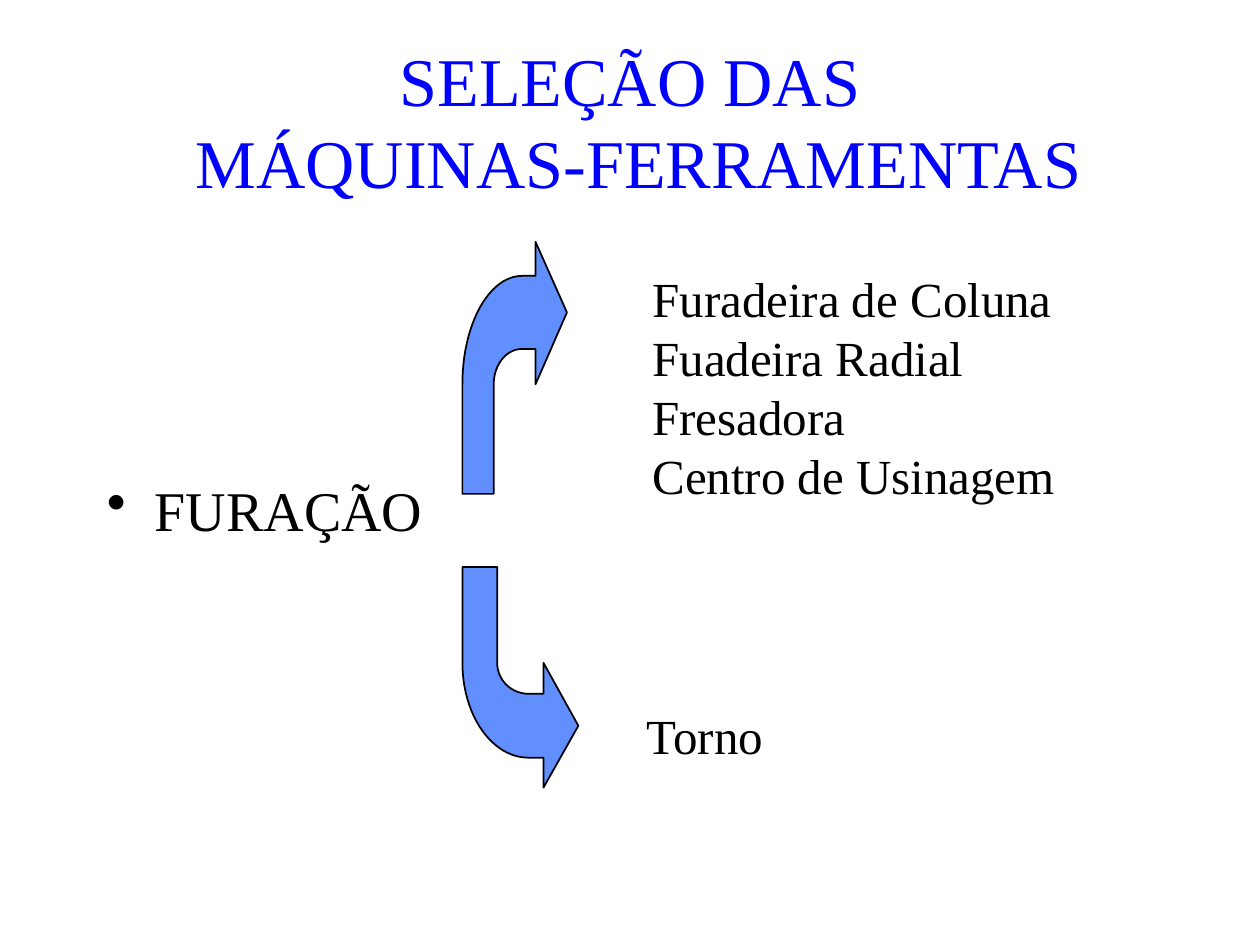
import math
import pptx
import pptx.util
import pptx.dml.color
import pptx.enum.text
from lxml import etree

Inches, Pt = pptx.util.Inches, pptx.util.Pt
RGB = pptx.dml.color.RGBColor.from_string
ALIGN, ANCHOR = pptx.enum.text.PP_ALIGN, pptx.enum.text.MSO_ANCHOR

THEME = {
    "title": {"size": Pt(39), "color": "0000FF"},
    "topic": {"size": Pt(32), "color": "000000"},
    "machine": {"size": Pt(28), "color": "000000"},
    "font": "Times New Roman",
    "arrow_fill": "618FFD",
    "arrow_line": "000000",
}
W, H = 10, 7.5

TEXTS = [
    {"lines": ["SELEÇÃO DAS\v MÁQUINAS-FERRAMENTAS"], "style": "title",
     "box": (0.075, 0.044, 0.85, 0.167), "align": ALIGN.CENTER, "anchor": ANCHOR.MIDDLE},
    {"lines": ["FURAÇÃO"], "style": "topic", "bullet": "•",
     "box": (0.075, 0.497, 0.29, 0.08), "align": ALIGN.LEFT, "anchor": ANCHOR.TOP},
    {"lines": ["Furadeira de Coluna", "Fuadeira Radial", "Fresadora", "Centro de Usinagem"],
     "style": "machine", "box": (0.508, 0.278, 0.367, 0.262),
     "align": ALIGN.LEFT, "anchor": ANCHOR.MIDDLE},
    {"lines": ["Torno"], "style": "machine", "box": (0.502, 0.74, 0.115, 0.076),
     "align": ALIGN.CENTER, "anchor": ANCHOR.MIDDLE},
]
ARROWS = [
    {"left": 3.67, "tail": 4.5, "width": 0.92, "rise": 1.75},
    {"left": 3.67, "tail": 3.92, "width": 0.83, "rise": -2},
]
SHAFT, BEND, HEAD = 0.3, 0.57, 0.7
BACK, INNER, TIP, OUTER = 0.435, 0.575, 0.72, 0.865
STEPS = 24


def add_text(s, lines, style, box, align, anchor, bullet=None):
    x, y, w, h = box
    sp = s.shapes.add_textbox(Inches(x * W), Inches(y * H), Inches(w * W), Inches(h * H))
    tf = sp.text_frame
    for name, value in {"word_wrap": True, "vertical_anchor": anchor}.items():
        setattr(tf, name, value)
    tf.text = "\n".join(lines)
    for p in tf.paragraphs:
        p.alignment = align
        if bullet:
            pPr = p._p.get_or_add_pPr()
            pPr.set("marL", str(Inches(0.38)))
            pPr.set("indent", str(-Inches(0.38)))
            bu = etree.SubElement(pPr, pptx.oxml.ns.qn("a:buChar"))
            bu.set("char", bullet)
        for r in p.runs:
            for name, value in {"name": THEME["font"], "size": THEME[style]["size"]}.items():
                setattr(r.font, name, value)
            r.font.color.rgb = RGB(THEME[style]["color"])


def quarter(rx, ry):
    angles = [math.pi / 2 * i / STEPS for i in range(STEPS + 1)]
    return [(BEND - rx * math.cos(a), BACK + ry * math.sin(a)) for a in angles]


def add_arrow(s, left, tail, width, rise):
    outer = quarter(BEND, OUTER - BACK)
    inner = quarter(BEND - SHAFT, INNER - BACK)
    outline = [(0, 0), *outer, (HEAD, OUTER), (HEAD, 1), (1, TIP),
               (HEAD, BACK), (HEAD, INNER), *reversed(inner), (SHAFT, 0)]
    points = [(Inches(left + x * width), Inches(tail + y * rise)) for x, y in outline]
    fb = s.shapes.build_freeform(*points[0])
    fb.add_line_segments(points[1:], close=True)
    sp = fb.convert_to_shape()
    sp.shadow.inherit = False
    sp.fill.solid()
    sp.fill.fore_color.rgb = RGB(THEME["arrow_fill"])
    sp.line.color.rgb = RGB(THEME["arrow_line"])
    sp.line.width = Pt(1)


prs = pptx.Presentation()
prs.slide_width, prs.slide_height = Inches(W), Inches(H)
s = prs.slides.add_slide(prs.slide_layouts[6])
for arrow in ARROWS:
    add_arrow(s, **arrow)
for text in TEXTS:
    add_text(s, **text)
prs.save("out.pptx")
